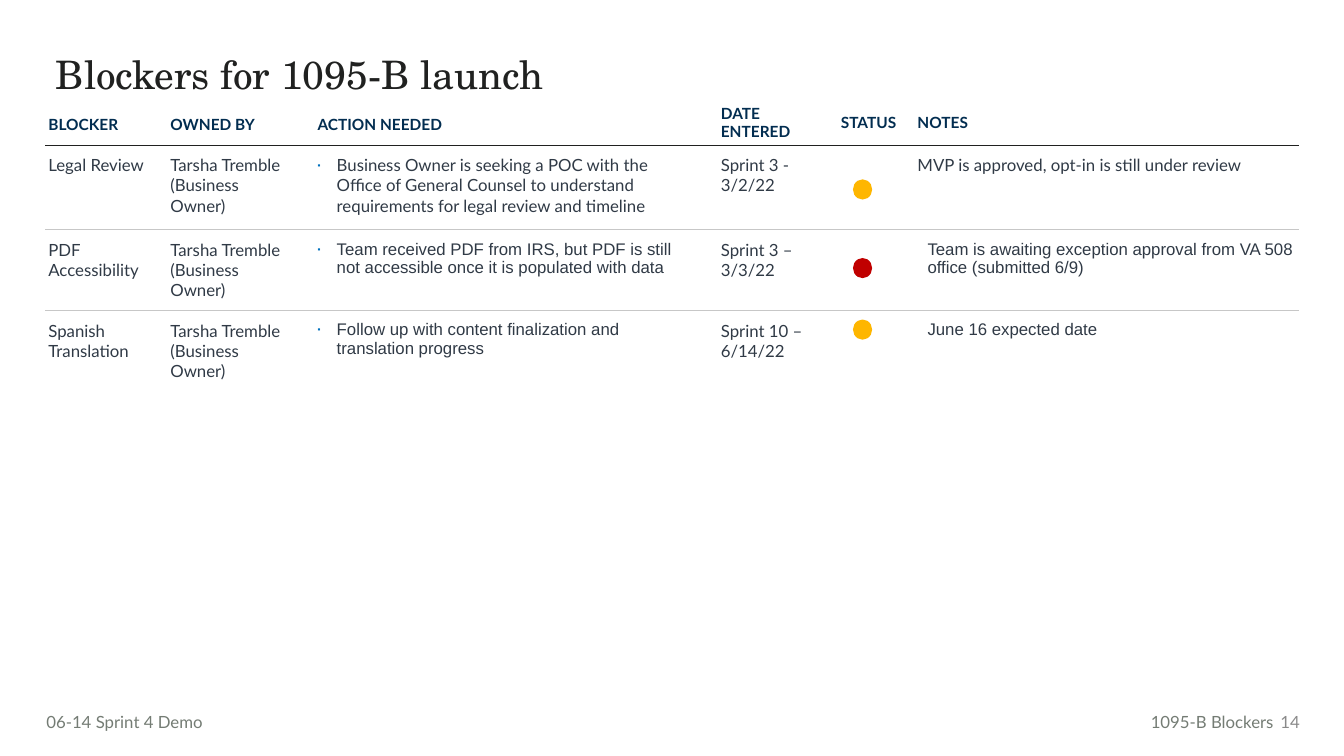
from itertools import accumulate

from lxml import etree
from pptx import Presentation
from pptx import util as u
from pptx.dml.color import RGBColor
from pptx.enum import shapes, text
from pptx.oxml.ns import qn

W, H = 13.33, 7.5
LEFT, TOP = 0.45, 1
COLS = [1.21, 1.46, 4, 1.19, 0.69, 3.88]
ROWS = [0.44, 0.84, 0.8, 0.8]
ACTION, DATE, STATUS, NOTES = 2, 3, 4, 5

COLORS = {
    "title": "202120", "header": "022D50", "body": "303A46",
    "footer": "747C74", "number": "8A8A8A", "bullet": "0071BF",
    "rule": "202120", "divider": "C7C7C7",
    "amber": "FEB600", "red": "C00000",
}

HEADERS = ["BLOCKER", "OWNED BY", "ACTION NEEDED", "DATE\nENTERED", "STATUS", "NOTES"]
OWNER = "Tarsha Tremble (Business Owner)"

# Blocker, owner, action, date, status (colour, drop below the row top), notes
BLOCKERS = [
    ("Legal Review", OWNER,
     "Business Owner is seeking a POC with the Office of General Counsel "
     "to understand requirements for legal review and timeline",
     "Sprint 3 -\n3/2/22", ("amber", 0.34),
     "MVP is approved, opt-in is still under review"),
    ("PDF Accessibility", OWNER,
     "Team received PDF from IRS, but PDF is still not accessible "
     "once it is populated with data",
     "Sprint 3 – 3/3/22", ("red", 0.28),
     "Team is awaiting exception approval from VA 508 office (submitted 6/9)"),
    ("Spanish Translation", "Tarsha Tremble\n(Business Owner)",
     "Follow up with content finalization and translation progress",
     "Sprint 10 –\n6/14/22", ("amber", 0.09),
     "June 16 expected date"),
]


def rgb(name):
    return RGBColor.from_string(COLORS[name])


def share(x, y, w, h):
    """Turn percentages of the slide into left, top, width, height."""
    return [u.Inches(v * side / 100) for v, side in ((x, W), (y, H), (w, W), (h, H))]


def set_margins(obj, *inches):
    obj.margin_left, obj.margin_top, obj.margin_right, obj.margin_bottom = map(u.Inches, inches)


def write(tf, content, size=12, font="Lato", color="body", bold=False,
          align=text.PP_ALIGN.LEFT, spacing=1.0, indent=0, bullet=False):
    tf.word_wrap = True
    for i, line in enumerate(content.split("\n")):
        p = tf.add_paragraph() if i else tf.paragraphs[0]
        p.alignment, p.line_spacing = align, spacing
        if indent:
            p._p.get_or_add_pPr().set("marL", str(u.Inches(indent)))
        if bullet:
            add_bullet(p, indent)
        r = p.add_run()
        r.text = line
        r.font.size, r.font.name, r.font.bold = u.Pt(size), font, bold
        r.font.color.rgb = rgb(color)


def add_bullet(p, indent):
    pPr = p._p.get_or_add_pPr()
    pPr.set("indent", str(-u.Inches(indent)))
    clr = etree.SubElement(pPr, qn("a:buClr"))
    etree.SubElement(clr, qn("a:srgbClr"), val=COLORS["bullet"])
    etree.SubElement(pPr, qn("a:buSzPct"), val="50000")
    etree.SubElement(pPr, qn("a:buFont"), typeface="Arial")
    etree.SubElement(pPr, qn("a:buChar"), char="▪")


def set_borders(cell, top, bottom):
    tcPr = cell._tc.get_or_add_tcPr()
    sides = {"a:lnL": None, "a:lnR": None, "a:lnT": top, "a:lnB": bottom}
    for i, (tag, color) in enumerate(sides.items()):
        ln = etree.Element(qn(tag), w=str(u.Pt(1)))
        if color:
            fill = etree.SubElement(ln, qn("a:solidFill"))
            etree.SubElement(fill, qn("a:srgbClr"), val=COLORS[color])
        else:
            etree.SubElement(ln, qn("a:noFill"))
        tcPr.insert(i, ln)


def header_cell(cell, c):
    set_margins(cell, 0.1 if c == NOTES else 0.03, 0.03, 0.03, 0.03)
    cell.vertical_anchor = text.MSO_ANCHOR.TOP if c == DATE else text.MSO_ANCHOR.MIDDLE
    write(cell.text_frame, HEADERS[c], size=11, color="header", bold=True,
          spacing=1.15 if c < DATE else 1.0)


def body_cell(cell, r, c):
    set_margins(cell, 0.1 if c == NOTES else 0.03, 0.1, 0.2 if c < DATE else 0.03, 0.1)
    if c == STATUS:
        return
    style = {}
    if c in (ACTION, NOTES) and r > 1:
        style.update(font="Arial", indent=0.1)
    if c == ACTION:
        style.update(indent=0.19, bullet=True)
    write(cell.text_frame, BLOCKERS[r - 1][c], **style)


def add_blocker_table(s):
    frame = s.shapes.add_table(len(ROWS), len(COLS), u.Inches(LEFT), u.Inches(TOP),
                               u.Inches(sum(COLS)), u.Inches(sum(ROWS)))
    table = frame.table
    table.first_row = table.horz_banding = False
    for col, width in zip(table.columns, COLS):
        col.width = u.Inches(width)
    # Rule below each row; the last row has none
    rules = [None, "rule"] + ["divider"] * (len(ROWS) - 2) + [None]
    for r, height in enumerate(ROWS):
        table.rows[r].height = u.Inches(height)
        for c in range(len(COLS)):
            cell = table.cell(r, c)
            cell.fill.background()
            set_borders(cell, rules[r], rules[r + 1])
            if r:
                body_cell(cell, r, c)
            else:
                header_cell(cell, c)


def add_status_dots(s):
    x = LEFT + sum(COLS[:STATUS]) + 0.15
    for row_top, blocker in zip(accumulate(ROWS, initial=TOP + 0.0), [None] + BLOCKERS):
        if blocker is None:
            continue
        color, drop = blocker[STATUS]
        sp = s.shapes.add_shape(shapes.MSO_SHAPE.OVAL, u.Inches(x), u.Inches(row_top + drop),
                                u.Inches(0.19), u.Inches(0.2))
        sp.shadow.inherit = False
        sp.fill.solid()
        sp.fill.fore_color.rgb = rgb(color)
        sp.line.fill.background()


def add_title(s, content):
    sp = s.shapes.title
    sp.left, sp.top, sp.width, sp.height = share(3.4, 6.67, 66.1, 19.3)
    tf = sp.text_frame
    set_margins(tf, 0.1, 0.05, 0.1, 0.05)
    tf.auto_size = text.MSO_AUTO_SIZE.NONE
    tf.vertical_anchor = text.MSO_ANCHOR.TOP
    write(tf, content, size=28, font="TeX Gyre Schola", color="title", spacing=0.9)


def add_footer(s, content, box, inset=0.1, anchor=text.MSO_ANCHOR.TOP, **style):
    tf = s.shapes.add_textbox(*share(*box)).text_frame
    set_margins(tf, inset, 0.05, 0.1, 0.05)
    tf.vertical_anchor = anchor
    write(tf, content, **style)


def main():
    prs = Presentation()
    prs.slide_width, prs.slide_height = u.Inches(W), u.Inches(H)
    s = prs.slides.add_slide(prs.slide_layouts[5])

    add_title(s, "Blockers for 1095-B launch")
    add_blocker_table(s)
    add_status_dots(s)

    # Footer line
    right = text.PP_ALIGN.RIGHT
    add_footer(s, "06-14 Sprint 4 Demo", (3.45, 93.5, 22.4, 4), inset=0, color="footer")
    add_footer(s, "1095-B Blockers", (83.2, 93.5, 12.3, 4), color="footer", align=right)
    add_footer(s, "14", (94.15, 92.8, 3.3, 5.3), anchor=text.MSO_ANCHOR.MIDDLE,
               color="number", align=right)

    prs.save("out.pptx")


if __name__ == "__main__":
    main()
